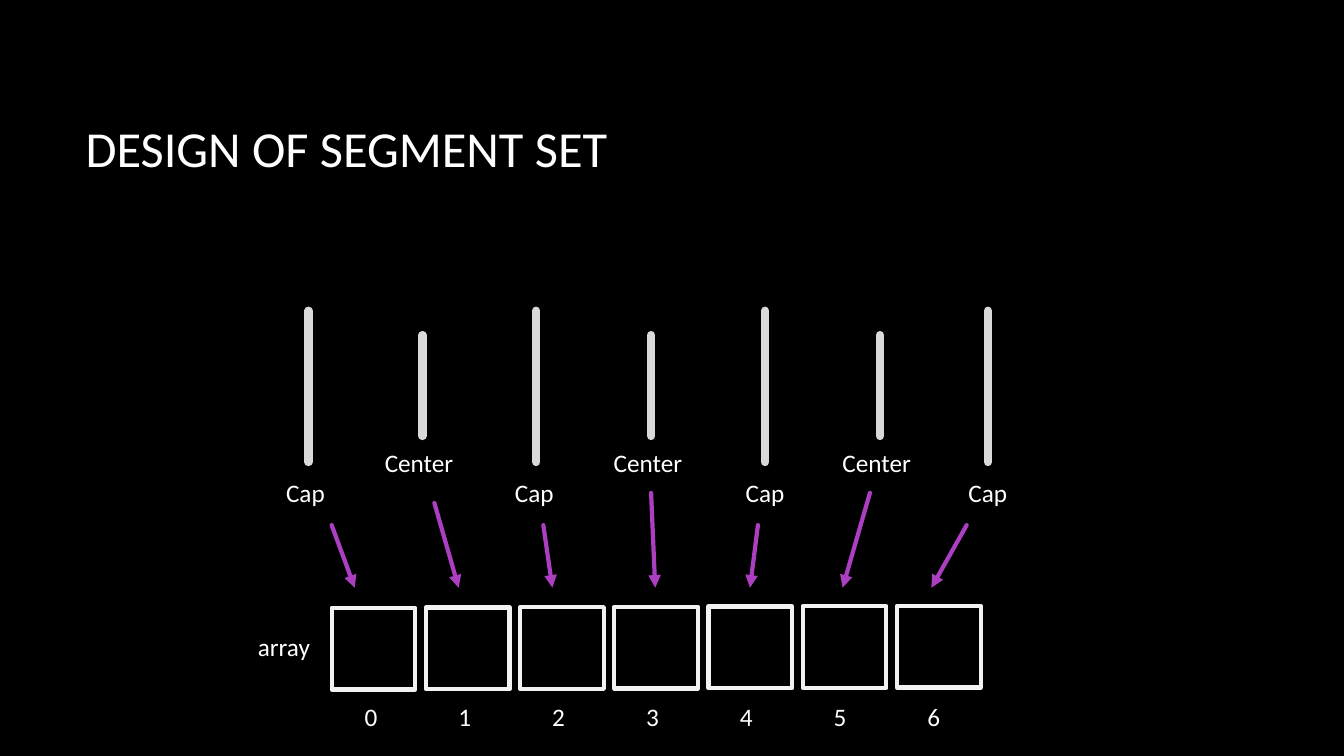
from dataclasses import dataclass

from lxml import etree
from pptx import Presentation
from pptx.dml.color import RGBColor
from pptx.enum.shapes import MSO_CONNECTOR, MSO_SHAPE
from pptx.enum.text import MSO_ANCHOR, MSO_AUTO_SIZE
from pptx.oxml.ns import qn
from pptx.shapes.autoshape import Shape
from pptx.shapes.connector import Connector
from pptx.slide import Slide
from pptx.util import Pt

STRAIGHT = MSO_CONNECTOR.STRAIGHT
RECTANGLE = MSO_SHAPE.RECTANGLE
MIDDLE, TOP = MSO_ANCHOR.MIDDLE, MSO_ANCHOR.TOP
GROW, FIXED = MSO_AUTO_SIZE.SHAPE_TO_FIT_TEXT, MSO_AUTO_SIZE.NONE


@dataclass(frozen=True)
class Theme:
    font: str = "Calibri"
    background: RGBColor = RGBColor(0x00, 0x00, 0x00)
    text: RGBColor = RGBColor(0xFF, 0xFF, 0xFF)
    bar: RGBColor = RGBColor(0xD9, 0xD9, 0xD9)
    cell: RGBColor = RGBColor(0xF2, 0xF2, 0xF2)
    arrow: RGBColor = RGBColor(0xAC, 0x3E, 0xC1)
    title_size: int = 36
    label_size: int = 18
    bar_width: int = 6
    outline_width: int = 3


@dataclass(frozen=True)
class SegmentKind:
    name: str
    bar_top: float
    bar_length: float
    label_top: float


@dataclass(frozen=True)
class Segment:
    kind: SegmentKind
    bar_x: float
    label_left: float
    arrow_start: tuple[float, float]
    arrow_end_x: float


THEME = Theme()
CAP = SegmentKind("Cap", 222, 108, 337.7)
CENTER = SegmentKind("Center", 239.4, 72, 315.8)
SEGMENTS = [
    Segment(CAP, 220.3, 197.3, (236.9, 375.1), 253.4),
    Segment(CENTER, 301.7, 267.8, (310.3, 359.3), 327.6),
    Segment(CAP, 383, 360.7, (388.1, 375.1), 394.6),
    Segment(CENTER, 465.1, 431.3, (465.1, 352.1), 468),
    Segment(CAP, 546.5, 525.6, (541.4, 375.1), 535.7),
    Segment(CENTER, 628.6, 594.7, (621.4, 352.1), 601.9),
    Segment(CAP, 705.6, 684.7, (690.5, 375.1), 665.3),
]
ARROW_END_Y = 419.8
LABEL_WIDTH, LABEL_HEIGHT = 67.7, 29
CELL_LEFT, CELL_TOP = 236.9, 434.2
CELL_WIDTH, CELL_HEIGHT = 59.8, 58.3
CELL_STEP, CELL_RISE = 67.3, 0.24
INDEX_STEP = 67


def add_text(slide: Slide, text: str, left: float, top: float, width: float,
             height: float = LABEL_HEIGHT, size: int = THEME.label_size,
             **frame_format: object) -> Shape:
    box = slide.shapes.add_textbox(Pt(left), Pt(top), Pt(width), Pt(height))
    frame = box.text_frame
    defaults = {"word_wrap": True, "auto_size": GROW, "vertical_anchor": TOP}
    for name, value in (defaults | frame_format).items():
        setattr(frame, name, value)
    run = frame.paragraphs[0].add_run()
    run.text = text
    for name, value in {"name": THEME.font, "size": Pt(size)}.items():
        setattr(run.font, name, value)
    run.font.color.rgb = THEME.text
    return box


def add_line(slide: Slide, start: tuple[float, float], end: tuple[float, float],
             color: RGBColor, width: float) -> Connector:
    """Add a straight line with round caps and no shadow."""
    connector = slide.shapes.add_connector(
        STRAIGHT, *(Pt(value) for value in start + end))
    connector.line.color.rgb = color
    connector.line.width = Pt(width)
    properties = connector.element.spPr
    properties.find(qn("a:ln")).set("cap", "rnd")
    etree.SubElement(properties, qn("a:effectLst"))
    return connector


def add_arrow(slide: Slide, segment: Segment) -> None:
    arrow = add_line(slide, segment.arrow_start,
                     (segment.arrow_end_x, ARROW_END_Y),
                     THEME.arrow, THEME.outline_width)
    outline = arrow.element.spPr.find(qn("a:ln"))
    etree.SubElement(outline, qn("a:tailEnd"), type="triangle")


def add_segment(slide: Slide, segment: Segment) -> None:
    """Add the bar of a segment, its label and the arrow to its cell."""
    kind = segment.kind
    add_line(slide, (segment.bar_x, kind.bar_top),
             (segment.bar_x, kind.bar_top + kind.bar_length),
             THEME.bar, THEME.bar_width)
    add_text(slide, kind.name, segment.label_left, kind.label_top, LABEL_WIDTH)
    add_arrow(slide, segment)


def add_cell(slide: Slide, index: int) -> None:
    cell = slide.shapes.add_shape(
        RECTANGLE, Pt(CELL_LEFT + index * CELL_STEP),
        Pt(CELL_TOP - index * CELL_RISE), Pt(CELL_WIDTH), Pt(CELL_HEIGHT))
    cell.shadow.inherit = False
    cell.fill.background()
    cell.line.color.rgb = THEME.cell
    cell.line.width = Pt(THEME.outline_width)


def add_indices(slide: Slide, count: int) -> None:
    """Add the array indices as one line of text with even tab stops."""
    box = add_text(slide, "\t".join(map(str, range(count))), 253.4, 497.5, 435)
    properties = box.text_frame.paragraphs[0]._p.get_or_add_pPr()
    tab_list = etree.SubElement(properties, qn("a:tabLst"))
    for index in range(1, count):
        etree.SubElement(tab_list, qn("a:tab"),
                         pos=str(Pt(index * INDEX_STEP)), algn="l")


def main() -> None:
    presentation = Presentation()
    presentation.slide_width, presentation.slide_height = Pt(960), Pt(540)
    slide = presentation.slides.add_slide(presentation.slide_layouts[6])
    slide.background.fill.solid()
    slide.background.fill.fore_color.rgb = THEME.background

    add_text(slide, "DESIGN OF SEGMENT SET", 54, 48.2, 797.8, 114.5,
             THEME.title_size, auto_size=FIXED, vertical_anchor=MIDDLE)
    for index, segment in enumerate(SEGMENTS):
        add_segment(slide, segment)
        add_cell(slide, index)
    add_text(slide, "array", 177.1, 447.1, 51.8, word_wrap=False)
    add_indices(slide, len(SEGMENTS))
    presentation.save("out.pptx")


if __name__ == "__main__":
    main()
